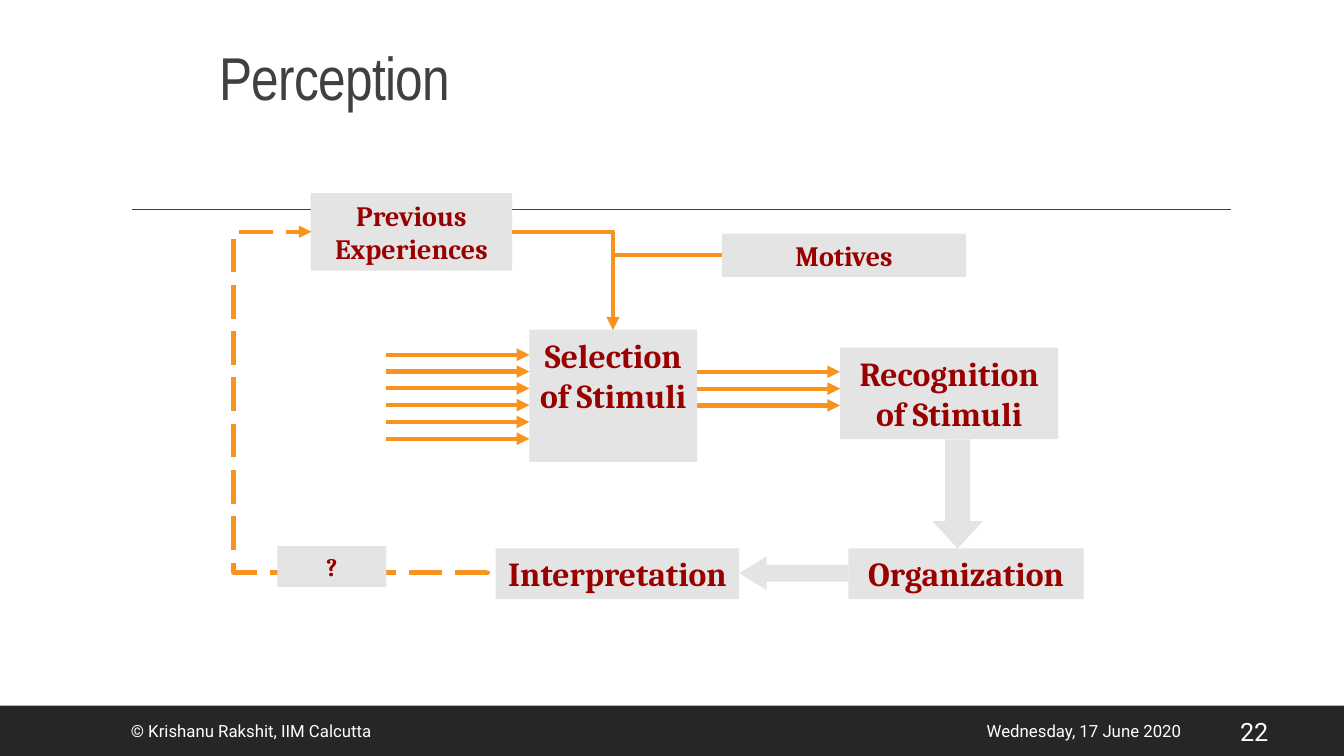
from dataclasses import dataclass

from lxml.etree import SubElement
from pptx import Presentation
from pptx.dml.color import RGBColor
from pptx.enum.dml import MSO_LINE
from pptx.enum.shapes import MSO_CONNECTOR as Link, MSO_SHAPE as Preset
from pptx.enum.text import MSO_ANCHOR as Anchor, PP_ALIGN as Align
from pptx.oxml.ns import qn
from pptx.util import Cm, Pt


@dataclass(frozen=True)
class Theme:
    """Colours, fonts and type sizes of the slide."""

    dark: str = "262626"
    grey: str = "404040"
    panel: str = "E4E4E4"
    accent: str = "F8931D"
    label: str = "990000"
    white: str = "FFFFFF"
    title_font: str = "Arial Narrow"
    label_font: str = "Cambria"
    footer_font: str = "Roboto"
    title_size: float = 43.2
    large: int = 24
    medium: int = 20
    small: int = 18
    footer: int = 12


THEME = Theme()


def apply_format(target, values):
    """Set each named attribute on the target."""
    for name, value in values.items():
        setattr(target, name, value)


def write_text(shape, text, font, size, color, align, anchor, bold=False):
    """Fill a shape with one formatted paragraph and return it."""
    apply_format(shape.text_frame, {"word_wrap": True, "vertical_anchor": anchor})
    paragraph = shape.text_frame.paragraphs[0]
    paragraph.alignment = align
    run = paragraph.add_run()
    run.text = text
    apply_format(run.font, {"name": font, "size": Pt(size), "bold": bold})
    run.font.color.rgb = RGBColor.from_string(color)
    return paragraph


def add_block(slide, preset, bounds, color, adjustments=()):
    """Add a plain filled shape without outline or shadow."""
    shape = slide.shapes.add_shape(preset, *map(Cm, bounds))
    shape.shadow.inherit = False
    shape.fill.solid()
    shape.fill.fore_color.rgb = RGBColor.from_string(color)
    shape.line.fill.background()
    for index, value in enumerate(adjustments):
        shape.adjustments[index] = value
    return shape


def add_stage(slide, text, bounds, size):
    """Add a labelled box of the perception process."""
    box = add_block(slide, Preset.RECTANGLE, bounds, THEME.panel)
    write_text(box, text, THEME.label_font, size, THEME.label,
               Align.CENTER, Anchor.TOP, bold=True)


def add_label(slide, text, bounds, font, size, color, align, anchor):
    """Add a text box holding one paragraph and return the paragraph."""
    box = slide.shapes.add_textbox(*map(Cm, bounds))
    return write_text(box, text, font, size, color, align, anchor)


def add_line(slide, start, end, color, width, kind=Link.STRAIGHT):
    """Add a connector without shadow."""
    connector = slide.shapes.add_connector(kind, *map(Cm, (*start, *end)))
    connector.line.color.rgb = RGBColor.from_string(color)
    connector.line.width = Pt(width)
    SubElement(connector._element.spPr, qn("a:effectLst"))
    return connector


def add_arrow(slide, start, end, kind=Link.STRAIGHT, dash=None):
    """Add an accent connector with a triangular head at its end."""
    connector = add_line(slide, start, end, THEME.accent, 3, kind)
    if dash:
        connector.line.dash_style = dash
    outline = connector._element.spPr.find(qn("a:ln"))
    SubElement(outline, qn("a:tailEnd"), type="triangle")
    return connector


def add_bent_arrow(slide, start, end, preset="bentConnector2", adjustments=(),
                   rotation=0, dash=None):
    """Add an elbow arrow of the given preset, turned by whole degrees."""
    properties = add_arrow(slide, start, end, Link.ELBOW, dash)._element.spPr
    properties.find(qn("a:xfrm")).set("rot", str(rotation * 60000))
    geometry = properties.find(qn("a:prstGeom"))
    geometry.set("prst", preset)
    guides = geometry.find(qn("a:avLst"))
    for number, value in enumerate(adjustments, 1):
        SubElement(guides, qn("a:gd"), name=f"adj{number}", fmla=f"val {value}")


def add_stimuli(slide, left, right, top, count):
    """Add a column of evenly spaced horizontal arrows."""
    pitch = 1.27 / 3
    for index in range(count):
        y = top + index * pitch
        add_arrow(slide, (left, y), (right, y))


def add_frame(slide):
    """Add the footer band, the rule and the title."""
    add_block(slide, Preset.RECTANGLE, (0, 17.78, 33.87, 1.27), THEME.dark)
    add_line(slide, (3.33, 5.28), (31.01, 5.28), THEME.grey, 1)
    title = add_label(slide, "Perception", (5.28, 1.07, 21.59, 1.91), THEME.title_font,
                      THEME.title_size, THEME.grey, Align.LEFT, Anchor.BOTTOM)
    title.line_spacing = 0.9
    title.runs[0].font._element.set("spc", "-50")


def add_process(slide):
    """Add the boxes and arrows of the perception process."""
    add_stimuli(slide, 9.74, 13.34, 8.94, 6)
    add_stage(slide, "Selection of Stimuli", (13.34, 8.31, 4.23, 3.33), THEME.large)
    add_stimuli(slide, 17.57, 21.17, 9.37, 3)
    add_stage(slide, "Recognition of Stimuli", (21.17, 8.76, 5.5, 2.31), THEME.large)
    add_block(slide, Preset.DOWN_ARROW, (23.5, 11.07, 1.27, 2.75), THEME.panel, (0.5, 0.54))
    add_stage(slide, "Organization", (21.38, 13.82, 5.93, 1.28), THEME.large)
    add_stage(slide, "Interpretation", (12.49, 13.82, 6.14, 1.28), THEME.large)
    add_block(slide, Preset.LEFT_ARROW, (18.63, 14.02, 2.75, 0.85), THEME.panel, (0.5, 0.81))
    add_stage(slide, "Previous Experiences", (7.83, 4.87, 5.08, 1.95), THEME.medium)
    add_stage(slide, "Motives", (18.2, 5.89, 6.14, 1.09), THEME.medium)
    add_bent_arrow(slide, (12.91, 5.84), (15.45, 8.31))
    add_bent_arrow(slide, (18.2, 6.43), (15.45, 8.31))
    add_bent_arrow(slide, (14.35, 7.9), (5.79, 12.34), "bentConnector4",
                   (-300, 144200), 90, MSO_LINE.LONG_DASH)
    add_stage(slide, "?", (6.99, 13.76, 2.75, 1.03), THEME.small)


def add_footer(slide):
    """Add the date, the author and the slide number."""
    for text, left, width, size, align in (
        ("Wednesday, 17 June 2020", 22.83, 7.19, THEME.footer, Align.RIGHT),
        ("© Krishanu Rakshit, IIM Calcutta", 3.05, 18.95, THEME.footer, Align.LEFT),
        ("22", 30.53, 2.16, THEME.small, Align.CENTER),
    ):
        add_label(slide, text, (left, 17.91, width, 1.02), THEME.footer_font,
                  size, THEME.white, align, Anchor.MIDDLE)


def main():
    """Build the slide and save it."""
    presentation = Presentation()
    apply_format(presentation, {"slide_width": Cm(33.87), "slide_height": Cm(19.05)})
    slide = presentation.slides.add_slide(presentation.slide_layouts[6])
    add_frame(slide)
    add_process(slide)
    add_footer(slide)
    presentation.save("out.pptx")


if __name__ == "__main__":
    main()
